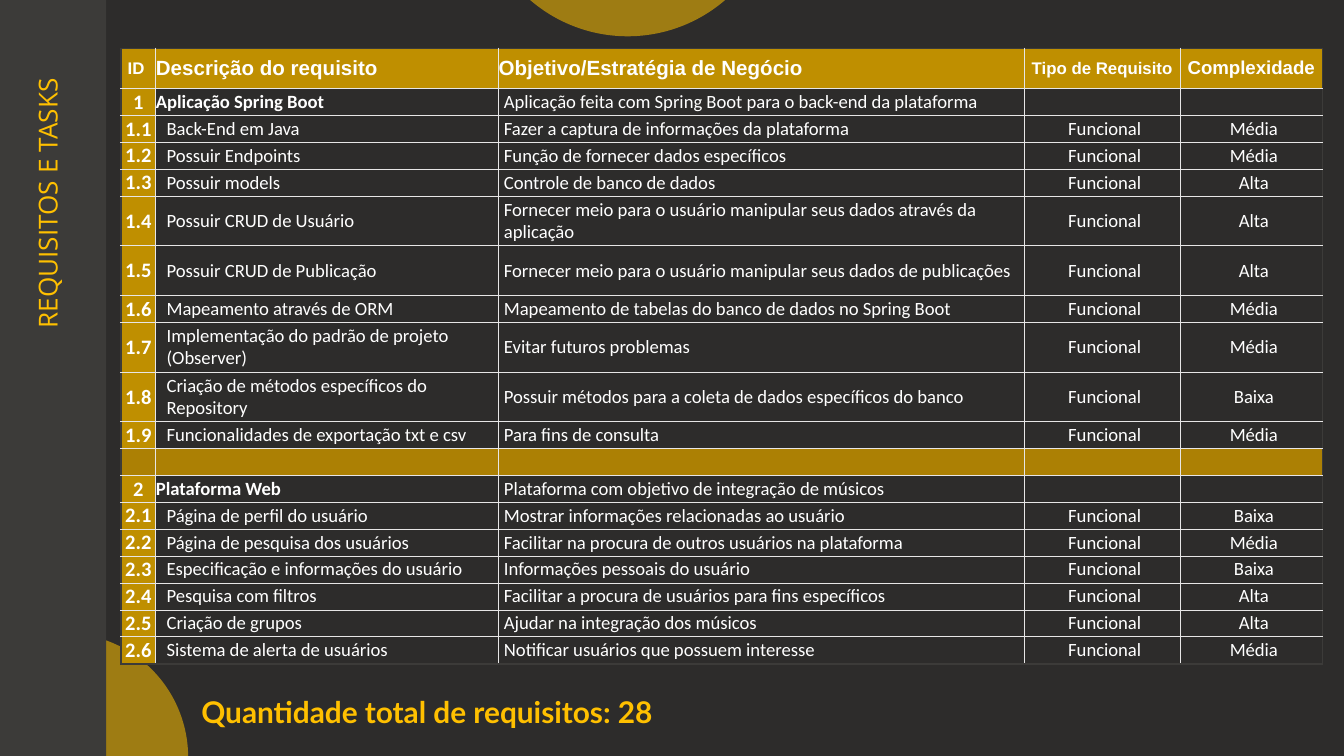
from lxml import etree
from pptx import Presentation, util as u
from pptx.dml.color import RGBColor
from pptx.enum import shapes, text
from pptx.oxml import ns

WIDTH = 10
HEIGHT = WIDTH * 9 / 16
GOLD, HEADER, DIVIDER = "FFC000", "BF8F00", "AC8004"
PANEL, DARK, WHITE, GRID = "3C3B39", "2D2C2B", "FFFFFF", "E7E6E6"

SIDEBAR = (-0.01, -0.01, 0.8, 5.68)
CIRCLES = [(-0.45, 4.71, 1.85, 1.85), (3.56, -1.95, 2.22, 2.22)]
TITLE = "REQUISITOS E TASKS"
TOTAL = "Quantidade total de requisitos: 28"

COLUMNS = [
    ("ID ", 9, 0.26, 0, "CENTER"),
    ("Descrição do requisito", 11, 2.55, 0.08, "LEFT"),
    ("Objetivo/Estratégia de Negócio", 11, 3.91, 0.04, "LEFT"),
    ("Tipo de Requisito", 9, 1.16, 0.04, "CENTER"),
    ("Complexidade", 10, 1.06, 0.04, "CENTER"),
]
GROUPS = [
    ("Aplicação Spring Boot", "Aplicação feita com Spring Boot para o back-end da plataforma", [
        ("Back-End em Java", "Fazer a captura de informações da plataforma", "Média"),
        ("Possuir Endpoints ", "Função de fornecer dados específicos", "Média"),
        ("Possuir models ", "Controle de banco de dados", "Alta"),
        ("Possuir CRUD de Usuário",
         "Fornecer meio para o usuário manipular seus dados através da aplicação", "Alta"),
        ("Possuir CRUD de Publicação",
         "Fornecer meio para o usuário manipular seus dados de publicações", "Alta"),
        ("Mapeamento através de ORM",
         "Mapeamento de tabelas do banco de dados no Spring Boot", "Média"),
        ("Implementação do padrão de projeto (Observer)", "Evitar futuros problemas ", "Média"),
        ("Criação de métodos específicos do Repository",
         "Possuir métodos para a coleta de dados específicos do banco", "Baixa"),
        ("Funcionalidades de exportação txt e csv", "Para fins de consulta", "Média"),
    ]),
    ("Plataforma Web", "Plataforma com objetivo de integração de músicos", [
        ("Página de perfil do usuário", "Mostrar informações relacionadas ao usuário", "Baixa"),
        ("Página de pesquisa dos usuários",
         "Facilitar na procura de outros usuários na plataforma", "Média"),
        ("Especificação e informações do usuário", "Informações pessoais do usuário", "Baixa"),
        ("Pesquisa com filtros", "Facilitar a procura de usuários para fins específicos ", "Alta"),
        ("Criação de grupos ", "Ajudar na integração dos músicos", "Alta"),
        ("Sistema de alerta de usuários", "Notificar usuários que possuem interesse", "Média"),
    ]),
]
HEADER_HEIGHT, ROW_HEIGHT, TALL_HEIGHT = 0.3, 0.2, 0.37
TALL_IDS = {"1.4", "1.5", "1.7", "1.8"}


def color(value):
    return RGBColor.from_string(value)


def apply(target, **values):
    for name, value in values.items():
        setattr(target, name, value)


def inches(values):
    return [u.Inches(value) for value in values]


def paint(target, value):
    target.fill.solid()
    target.fill.fore_color.rgb = color(value)


def write(frame, words, size, font, ink, bold=False, align="LEFT"):
    para = frame.paragraphs[0]
    para.alignment = getattr(text.PP_ALIGN, align)
    if words:
        span = para.add_run()
        span.text = words
        apply(span.font, size=u.Pt(size), name=font, bold=bold)
        span.font.color.rgb = color(ink)
    else:
        etree.SubElement(para._p, ns.qn("a:endParaRPr"), sz=str(size * 100))


def add_shape(kind, place, fill, alpha=None):
    shape = page.shapes.add_shape(kind, *inches(place))
    shape.shadow.inherit = False
    shape.line.fill.background()
    paint(shape, fill)
    if alpha:
        tone = shape.fill._xPr.find(".//" + ns.qn("a:srgbClr"))
        etree.SubElement(tone, ns.qn("a:alpha"), val=str(alpha * 1000))


def add_text(place, words, size, font, bold=False, align="LEFT", rotation=0, inset=0.05):
    box = page.shapes.add_textbox(*inches(place))
    box.rotation = rotation
    apply(box.text_frame, word_wrap=True, margin_top=u.Inches(inset), margin_bottom=u.Inches(inset))
    write(box.text_frame, words, size, font, GOLD, bold, align)


def add_borders(cell, outer):
    props = cell._tc.get_or_add_tcPr()
    for index, side in enumerate("LRTB"):
        tone, points = (PANEL, 1) if side in outer else (GRID, 0.5)
        line = etree.Element(ns.qn("a:ln" + side), w=str(u.Pt(points)))
        fill = etree.SubElement(line, ns.qn("a:solidFill"))
        etree.SubElement(fill, ns.qn("a:srgbClr"), val=tone)
        props.insert(index, line)


rows = [("header", [column[0] for column in COLUMNS])]
for number, (name, goal, tasks) in enumerate(GROUPS, 1):
    if number > 1:
        rows.append(("divider", [""] * len(COLUMNS)))
    rows.append(("group", [str(number), name, goal, "", ""]))
    for step, (task, aim, level) in enumerate(tasks, 1):
        rows.append(("task", [f"{number}.{step}", task, aim, "Funcional", level]))

deck = Presentation()
apply(deck, slide_width=u.Inches(WIDTH), slide_height=u.Inches(HEIGHT))
page = deck.slides.add_slide(deck.slide_layouts[6])
paint(page.background, DARK)

for circle in CIRCLES:
    add_shape(shapes.MSO_SHAPE.OVAL, circle, GOLD, 54)
add_shape(shapes.MSO_SHAPE.RECTANGLE, SIDEBAR, PANEL)
add_text((-1.13, 1.75, 3.11, 0.58), TITLE, 14, "Open Sans", align="RIGHT", rotation=270, inset=0.1)

heights = [HEADER_HEIGHT if kind == "header" else TALL_HEIGHT if words[0] in TALL_IDS else ROW_HEIGHT
           for kind, words in rows]
widths = [column[2] for column in COLUMNS]
table = page.shapes.add_table(len(rows), len(COLUMNS),
                              *inches((0.9, 0.36, sum(widths), sum(heights)))).table
apply(table, first_row=False, horz_banding=False)
for column, width in zip(table.columns, widths):
    column.width = u.Inches(width)

for r, (kind, words) in enumerate(rows):
    table.rows[r].height = u.Inches(heights[r])
    for c, (_, header_size, _, inset, align) in enumerate(COLUMNS):
        cell = table.cell(r, c)
        header = kind == "header"
        if header or (kind == "group" and c == 1):
            inset = 0
        apply(cell, margin_left=u.Inches(inset), margin_right=0, margin_top=0, margin_bottom=0,
              vertical_anchor=text.MSO_ANCHOR.MIDDLE)
        write(cell.text_frame, words[c], header_size if header else 11 if c == 0 else 10,
              "Arial" if header else "Calibri", WHITE,
              header or c == 0 or (kind == "group" and c == 1), align)
        if kind == "divider":
            paint(cell, DIVIDER)
        elif header or c == 0:
            paint(cell, HEADER)
        else:
            cell.fill.background()
        edges = {"L": c == 0, "R": c == len(COLUMNS) - 1, "T": r == 0, "B": r == len(rows) - 1}
        add_borders(cell, [side for side, on in edges.items() if on])

add_text((1.4, 5.11, 6.55, 0.37), TOTAL, 16, "Lato", bold=True)
deck.save("out.pptx")
